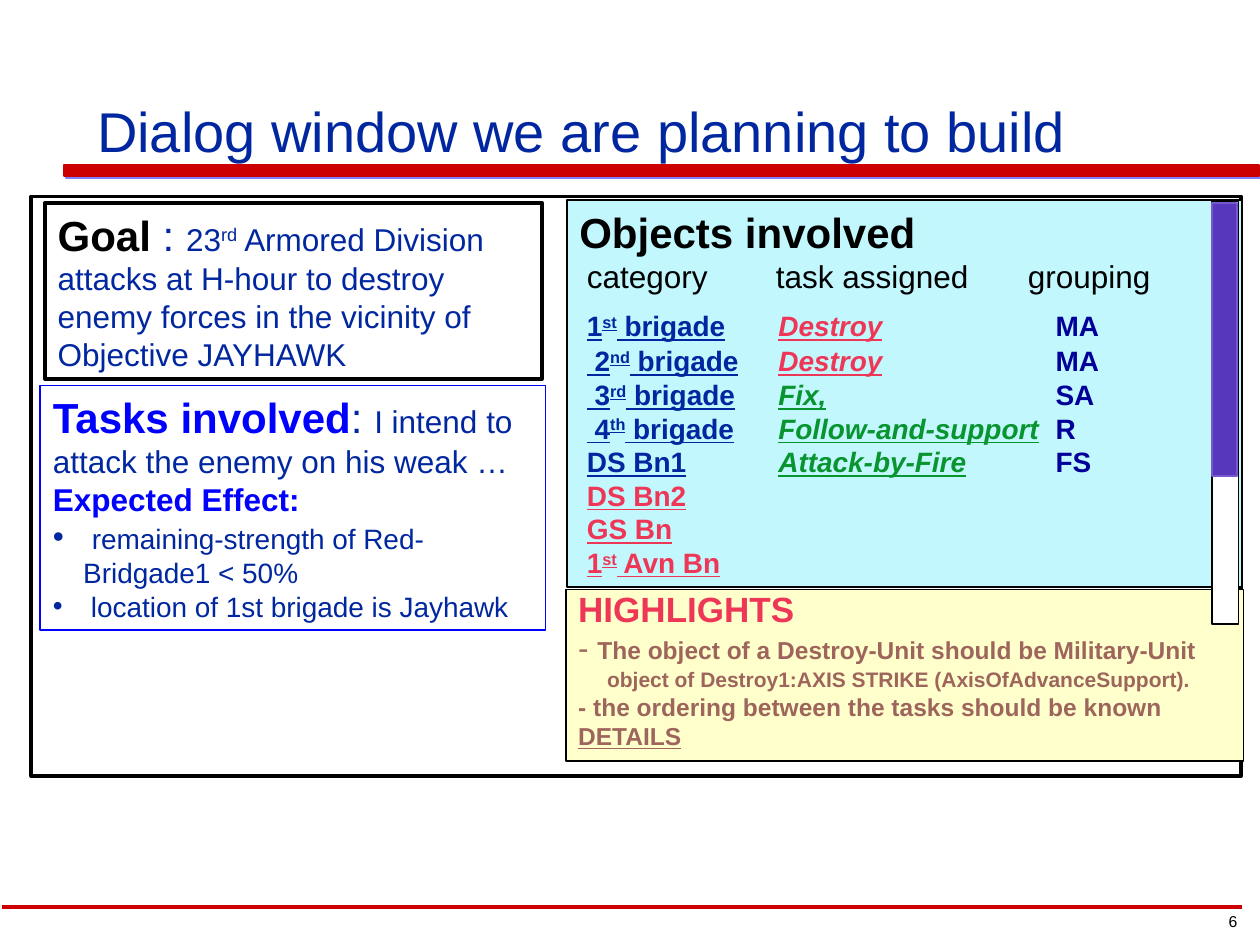
from dataclasses import dataclass

from lxml.etree import SubElement as Sub
from pptx import Presentation
from pptx.dml.color import RGBColor as RGB
from pptx.enum.shapes import MSO_CONNECTOR as Link, MSO_SHAPE as Kind
from pptx.enum.text import MSO_ANCHOR as Anchor, MSO_AUTO_SIZE as Fit, PP_ALIGN as Align
from pptx.oxml.ns import qn
from pptx.util import Inches, Pt


@dataclass(frozen=True)
class Theme:
    font: str = "Arial"
    black: str = "000000"
    white: str = "FFFFFF"
    navy: str = "00279F"
    ink: str = "000099"
    blue: str = "0000FF"
    red: str = "CC0000"
    rose: str = "EE3757"
    green: str = "08942F"
    brown: str = "9E655C"
    sky: str = "C1F7FD"
    cream: str = "FFFFCC"
    thumb: str = "5738BC"
    edge: str = "7559CD"
    shade: str = "8080FF"
    title: int = 32
    head: int = 24
    sub: int = 20
    text: int = 18
    item: int = 16
    note: int = 14
    small: int = 12
    page: int = 9
    tight: float = 0.8


T = Theme()
COLS, ROWS = 100, 75
UNIT = Inches(0.1)


@dataclass(frozen=True)
class Box:
    """An area in grid columns and rows."""
    x: float
    y: float
    w: float
    h: float

    def sub(self, x, y, w, h):
        return Box(self.x + x, self.y + y, w, h)

    def emu(self):
        return [round(v * UNIT) for v in (self.x, self.y, self.w, self.h)]


def paint(shape, fill, line, width):
    if fill:
        shape.fill.solid()
        shape.fill.fore_color.rgb = RGB.from_string(fill)
    else:
        shape.fill.background()
    shape.line.color.rgb = RGB.from_string(line)
    shape.line.width = Pt(width)


def rect(slide, box, fill=None, line=T.black, width=1):
    shape = slide.shapes.add_shape(Kind.RECTANGLE, *box.emu())
    shape.shadow.inherit = False
    paint(shape, fill, line, width)
    return shape


def place(holder, box):
    holder.left, holder.top, holder.width, holder.height = box.emu()


def setup(shape, anchor=Anchor.TOP):
    frame = shape.text_frame
    frame.word_wrap = True
    frame.auto_size = Fit.NONE
    frame.vertical_anchor = anchor
    return frame


def run(par, text, size, color, bold=False, under=False, slant=False, sup=False):
    part = par.add_run()
    part.text = text
    font = part.font
    font.name, font.size = T.font, Pt(size)
    font.bold, font.underline, font.italic = bold, under, slant
    font.color.rgb = RGB.from_string(color)
    if sup:
        part._r.get_or_add_rPr().set("baseline", "30000")


def add_par(frame, lead=1.0, before=0, left=0, hang=0, bullet=None, tabs=()):
    """Start a paragraph; an empty bullet turns off an inherited one."""
    first = frame.paragraphs[0]
    par = frame.add_paragraph() if first.runs else first
    par.alignment = Align.LEFT
    par.line_spacing = lead
    par.space_before = Pt(before)
    props = par._p.get_or_add_pPr()
    props.set("marL", str(Inches(left)))
    if hang or bullet is not None:  # an explicit indent would cancel tab stops
        props.set("indent", str(-Inches(hang)))
    if bullet:
        Sub(props, qn("a:buFont"), typeface=T.font)
        Sub(props, qn("a:buChar"), char=bullet)
    elif bullet == "":
        Sub(props, qn("a:buNone"))
    if tabs:
        stops = Sub(props, qn("a:tabLst"))
        for stop in tabs:
            Sub(stops, qn("a:tab"), pos=str(Inches(stop)), algn="l")
    return par


def header(slide, box):
    title = slide.shapes.title
    place(title, box.sub(6.7, 0.9, 84.8, 12.6))
    run(add_par(setup(title, Anchor.BOTTOM)),
        "Dialog window we are planning to build", T.title, T.navy)
    bar = rect(slide, box.sub(5.1, 13.1, 94.8, 0.9), T.red, T.red)
    glow = Sub(bar._element.spPr.find(qn("a:effectLst")), qn("a:outerShdw"),
               dist=str(Pt(1.4)), dir="2700000", algn="ctr", rotWithShape="0")
    Sub(glow, qn("a:srgbClr"), val=T.shade)


def footer(slide, box):
    right, left, y = [round(v * UNIT) for v in (box.x + 98.6, box.x + 0.2, box.y)]
    rule = slide.shapes.add_connector(Link.STRAIGHT, right, y, left, y)
    rule.line.color.rgb = RGB.from_string(T.red)
    rule.line.width = Pt(2)
    Sub(rule._element.spPr, qn("a:effectLst"))
    page = slide.shapes.add_textbox(*box.sub(94, -0.1, 7.7, 2.5).emu())
    par = add_par(setup(page))
    par.alignment = Align.CENTER
    run(par, "6", T.page, T.black)


def goal(slide, box):
    par = add_par(setup(rect(slide, box, width=2.25)))
    run(par, "Goal ", T.head, T.black, bold=True)
    run(par, ": ", T.head, T.navy)
    run(par, "23", T.text, T.navy)
    run(par, "rd", T.text, T.navy, sup=True)
    run(par, " Armored Division attacks at H-hour to destroy enemy forces "
        "in the vicinity of Objective JAYHAWK", T.text, T.navy)


def tasks(slide, box):
    body = slide.placeholders[1]
    place(body, box)
    paint(body, T.white, T.blue, 1)
    frame = setup(body)
    par = add_par(frame, bullet="")
    run(par, "Tasks involved", T.head, T.blue, bold=True)
    run(par, ": ", T.head, T.navy)
    run(par, "I intend to attack the enemy on his weak …", T.text, T.navy)
    run(add_par(frame, bullet=""), "Expected Effect:", T.text, T.blue, bold=True)
    for size, text in ((T.text, "remaining-strength of Red-Bridgade1 < 50%"),
                       (T.item, "location of 1st brigade is Jayhawk")):
        par = add_par(frame, left=0.24, hang=0.24, bullet="•")
        run(par, " ", size, T.navy)
        run(par, text, T.item, T.navy)


def units(slide, box):
    frame = setup(rect(slide, box, T.sky))
    run(add_par(frame), "Objects involved", T.head, T.black, bold=True)
    run(add_par(frame, left=0.06, tabs=(1.5, 3.5)),
        "category\ttask assigned\tgrouping", T.text, T.black)
    rows = (("1", "st", " brigade", T.navy, "Destroy", T.rose, "MA"),
            (" 2", "nd", " brigade", T.navy, "Destroy", T.rose, "MA"),
            (" 3", "rd", " brigade", T.navy, "Fix,", T.green, "SA"),
            (" 4", "th", " brigade", T.navy, "Follow-and-support", T.green, "R"),
            ("DS Bn1", "", "", T.navy, "Attack-by-Fire", T.green, "FS"),
            ("DS Bn2", "", "", T.rose, "", "", ""),
            ("GS Bn", "", "", T.rose, "", "", ""),
            ("1", "st", " Avn Bn", T.rose, "", "", ""))
    for i, (name, nth, rest, color, task, tint, group) in enumerate(rows):
        par = add_par(frame, before=0 if i else 8, left=0.06, tabs=(1.52, 3.72))
        if i == 0:
            par.space_after = Pt(1)
        run(par, name, T.item, color, bold=True, under=True)
        if nth:
            run(par, nth, T.item, color, bold=True, under=True, sup=True)
            run(par, rest, T.item, color, bold=True, under=True)
        if task:
            run(par, "\t", T.item, color)
            run(par, task, T.item, tint, bold=True, under=True, slant=True)
            run(par, "\t" + group, T.item, T.ink, bold=True)


def notes(slide, box):
    frame = setup(rect(slide, box, T.cream))
    run(add_par(frame, T.tight), "HIGHLIGHTS", T.sub, T.rose, bold=True)
    par = add_par(frame, T.tight, 3.5, 0.38, 0.38)
    run(par, "- ", T.text, T.brown)
    run(par, "The object of a Destroy-Unit should be Military-Unit",
        T.note, T.brown, bold=True)
    run(add_par(frame, T.tight, 3, 0.23),
        "object of Destroy1:AXIS STRIKE (AxisOfAdvanceSupport).",
        T.small, T.brown, bold=True)
    for text, under in (("- the ordering between the tasks should be known", False),
                        ("DETAILS", True)):
        run(add_par(frame, T.tight, 3.5, 0.38, 0.38), text, T.note, T.brown,
            bold=True, under=under)


def scroll(slide, box):
    rect(slide, box, T.white)
    rect(slide, box.sub(0, 0.1, 2, 21.7), T.thumb, T.edge)


def dialog(slide, box):
    rect(slide, box, width=2.25)
    goal(slide, box.sub(1.1, 0.5, 39.4, 14))
    tasks(slide, box.sub(0.7, 15, 40.1, 19.4))
    units(slide, box.sub(42.5, 0.3, 53.6, 30.7))
    notes(slide, box.sub(42.4, 31.2, 53.8, 13.6))
    scroll(slide, box.sub(93.7, 0.4, 2.1, 33.5))


def main():
    deck = Presentation()
    deck.slide_width, deck.slide_height = COLS * UNIT, ROWS * UNIT
    slide = deck.slides.add_slide(deck.slide_layouts[1])
    header(slide, Box(0, 0, COLS, 14))
    dialog(slide, Box(2.5, 15.6, 96, 46))
    footer(slide, Box(0, 72, COLS, 3))
    deck.save("out.pptx")


if __name__ == "__main__":
    main()
